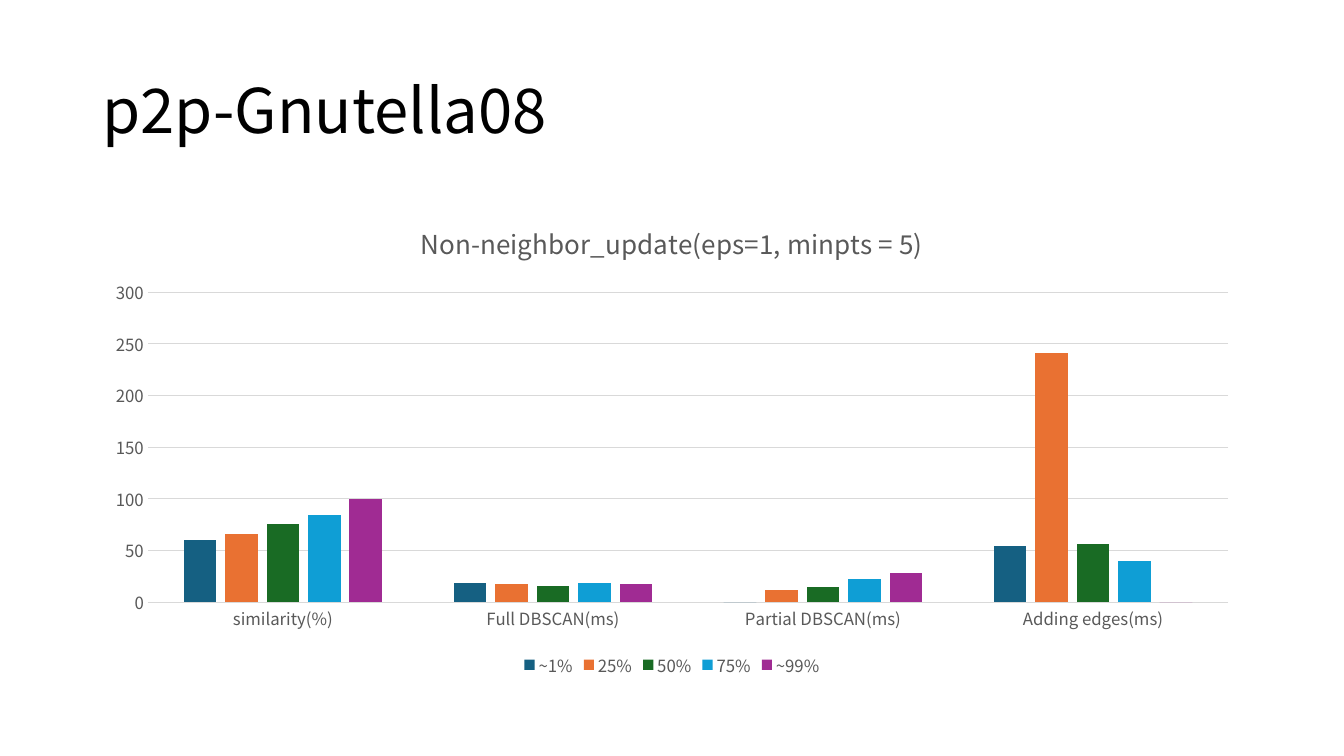
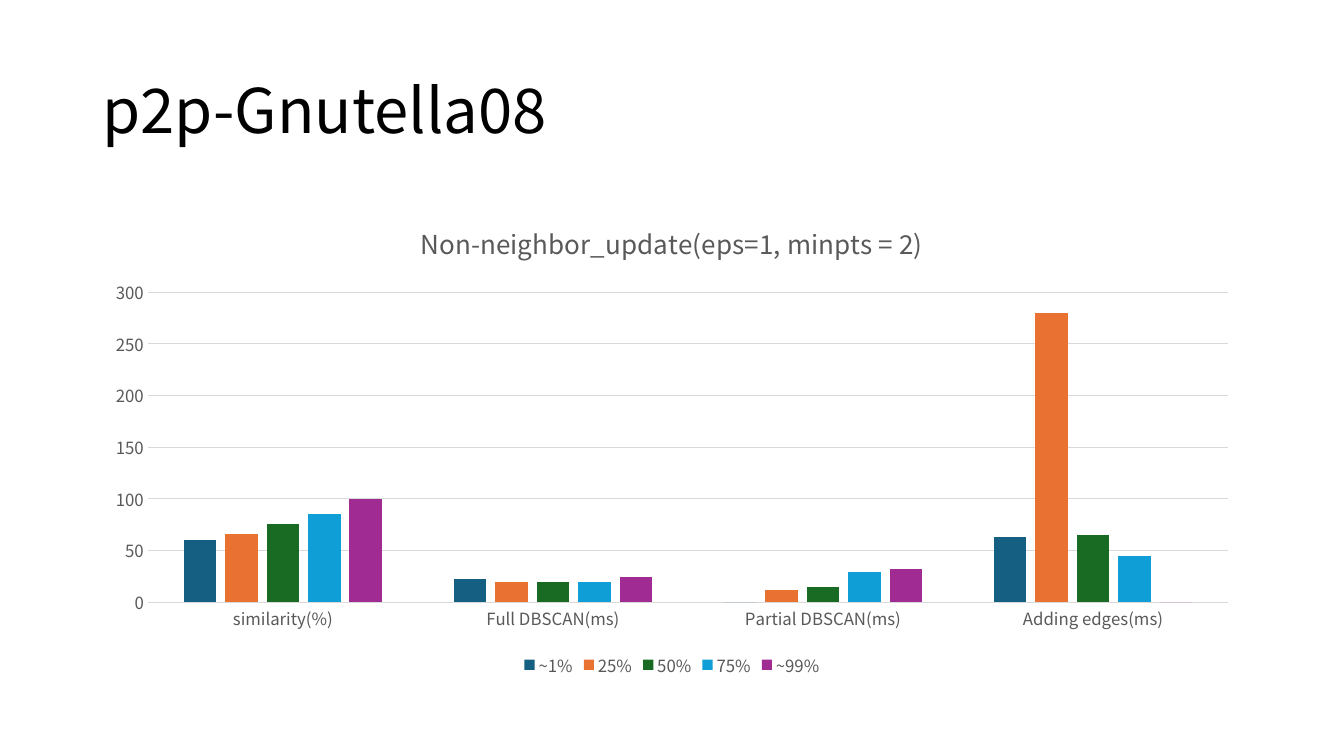
from dataclasses import dataclass

from pptx import Presentation
from pptx import util as u
from pptx.chart.data import CategoryChartData
from pptx.dml.color import RGBColor
from pptx.enum import chart as charts, text


@dataclass(frozen=True)
class Theme:
    font: str = "Noto Sans CJK KR"
    background: str = "FFFFFF"
    title_color: str = "000000"
    label_color: str = "595959"
    rule_color: str = "D9D9D9"
    series_colors: tuple = ("156082", "E97132", "196B24", "0F9ED5", "A02B93")
    title_size: float = 44
    chart_title_size: float = 18.6
    label_size: float = 12
    rule_width: float = 0.75


class SlideBuilder:
    COLUMNS, ROWS = 29, 150

    def __init__(self, deck, theme):
        self.deck = deck
        self.theme = theme
        self.page = None

    def area(self, column, row, columns, rows):
        across = self.deck.slide_width / self.COLUMNS
        down = self.deck.slide_height / self.ROWS
        return (round(column * across), round(row * down),
                round(columns * across), round(rows * down))

    def style_font(self, font, size, color):
        font.name = self.theme.font
        font.size = u.Pt(size)
        font.bold = False
        font.color.rgb = RGBColor.from_string(color)

    def style_rule(self, line):
        line.color.rgb = RGBColor.from_string(self.theme.rule_color)
        line.width = u.Pt(self.theme.rule_width)

    def add_page(self):
        self.page = self.deck.slides.add_slide(self.deck.slide_layouts[6])
        fill = self.page.background.fill
        fill.solid()
        fill.fore_color.rgb = RGBColor.from_string(self.theme.background)

    def add_title(self, wording):
        box = self.page.shapes.add_textbox(*self.area(2, 8, 25, 29))
        frame = box.text_frame
        frame.word_wrap = True
        frame.vertical_anchor = text.MSO_ANCHOR.MIDDLE
        frame.text = wording
        para = frame.paragraphs[0]
        para.line_spacing = 0.9
        self.style_font(para.runs[0].font, self.theme.title_size, self.theme.title_color)

    def add_column_chart(self, heading, categories, series):
        data = CategoryChartData(number_format="General")
        data.categories = categories
        for name, values in series.items():
            data.add_series(name, values)
        chart = self.page.shapes.add_chart(
            charts.XL_CHART_TYPE.COLUMN_CLUSTERED, *self.area(2, 40, 25, 95.2), data
        ).chart
        self.style_font(chart.font, self.theme.label_size, self.theme.label_color)
        self.style_chart_title(chart, heading)
        self.style_axes(chart)
        self.style_legend(chart)
        self.style_columns(chart.plots[0])

    def style_chart_title(self, chart, heading):
        chart.has_title = True
        frame = chart.chart_title.text_frame
        frame.text = heading
        self.style_font(frame.paragraphs[0].runs[0].font,
                        self.theme.chart_title_size, self.theme.label_color)
        chart.chart_title.include_in_layout = False

    def style_axes(self, chart):
        for axis in (chart.category_axis, chart.value_axis):
            axis.major_tick_mark = axis.minor_tick_mark = charts.XL_TICK_MARK.NONE
            self.style_font(axis.tick_labels.font,
                            self.theme.label_size, self.theme.label_color)
        self.style_rule(chart.category_axis.format.line)
        chart.value_axis.format.line.fill.background()
        chart.value_axis.has_major_gridlines = True
        self.style_rule(chart.value_axis.major_gridlines.format.line)

    def style_legend(self, chart):
        chart.has_legend = True
        chart.legend.position = charts.XL_LEGEND_POSITION.BOTTOM
        chart.legend.include_in_layout = False
        self.style_font(chart.legend.font, self.theme.label_size, self.theme.label_color)

    def style_columns(self, plot):
        plot.gap_width = 219
        plot.overlap = -27
        plot.vary_by_categories = False
        for series, color in zip(plot.series, self.theme.series_colors):
            series.invert_if_negative = False
            series.format.fill.solid()
            series.format.fill.fore_color.rgb = RGBColor.from_string(color)


CATEGORIES = ("similarity(%)", "Full DBSCAN(ms)", "Partial DBSCAN(ms)", "Adding edges(ms)")

RESULTS_BY_MINPTS = {
    5: {
        "~1%": (60, 18, 0, 54),
        "25%": (66, 17, 12, 241),
        "50%": (76, 16, 15, 56),
        "75%": (84, 18, 22, 40),
        "~99%": (100, 17, 28, 0),
    },
    2: {
        "~1%": (60, 22, 0, 63),
        "25%": (66, 19, 12, 280),
        "50%": (76, 19, 15, 65),
        "75%": (85, 19, 29, 45),
        "~99%": (100, 24, 32, 0),
    },
}


def main():
    deck = Presentation()
    deck.slide_width, deck.slide_height = u.Inches(13.33), u.Inches(7.5)
    builder = SlideBuilder(deck, Theme())
    for minpts, series in RESULTS_BY_MINPTS.items():
        builder.add_page()
        builder.add_title("p2p-Gnutella08")
        builder.add_column_chart(
            f"Non-neighbor_update(eps=1, minpts = {minpts})", CATEGORIES, series)
    deck.save("out.pptx")


if __name__ == "__main__":
    main()
